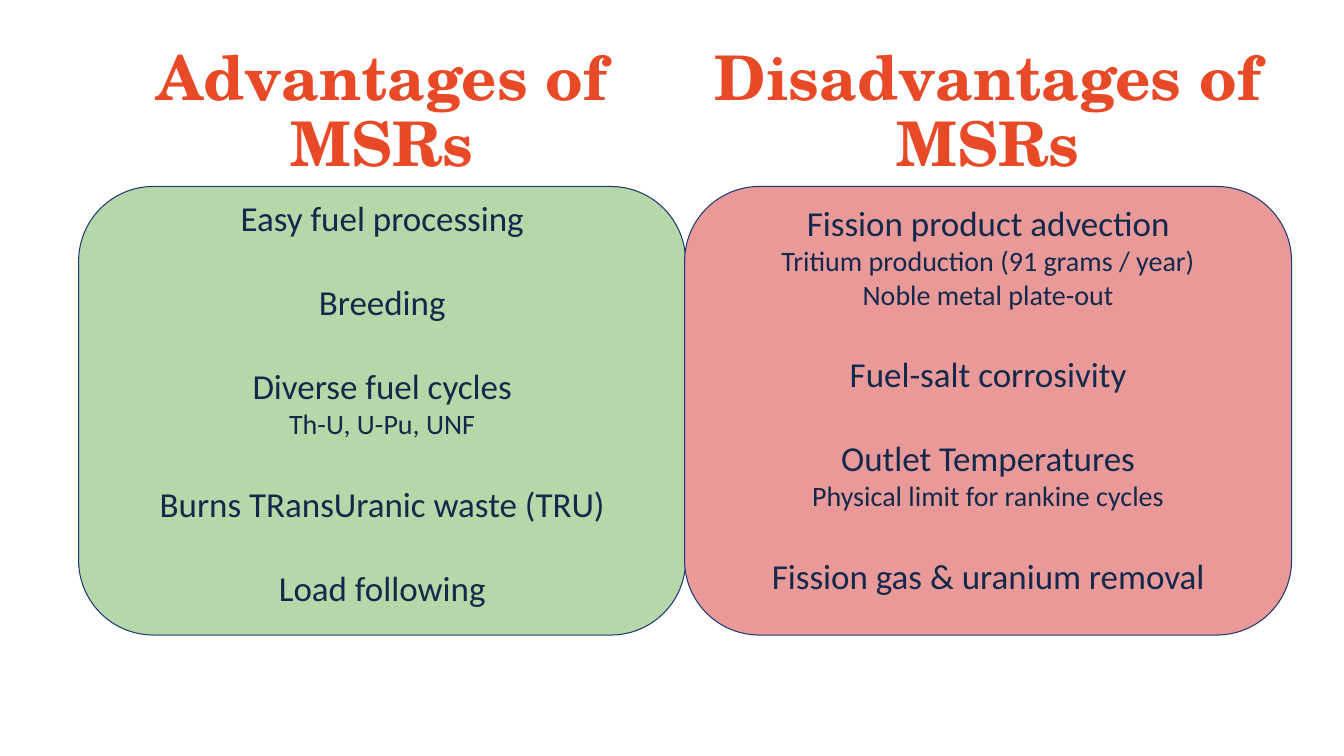
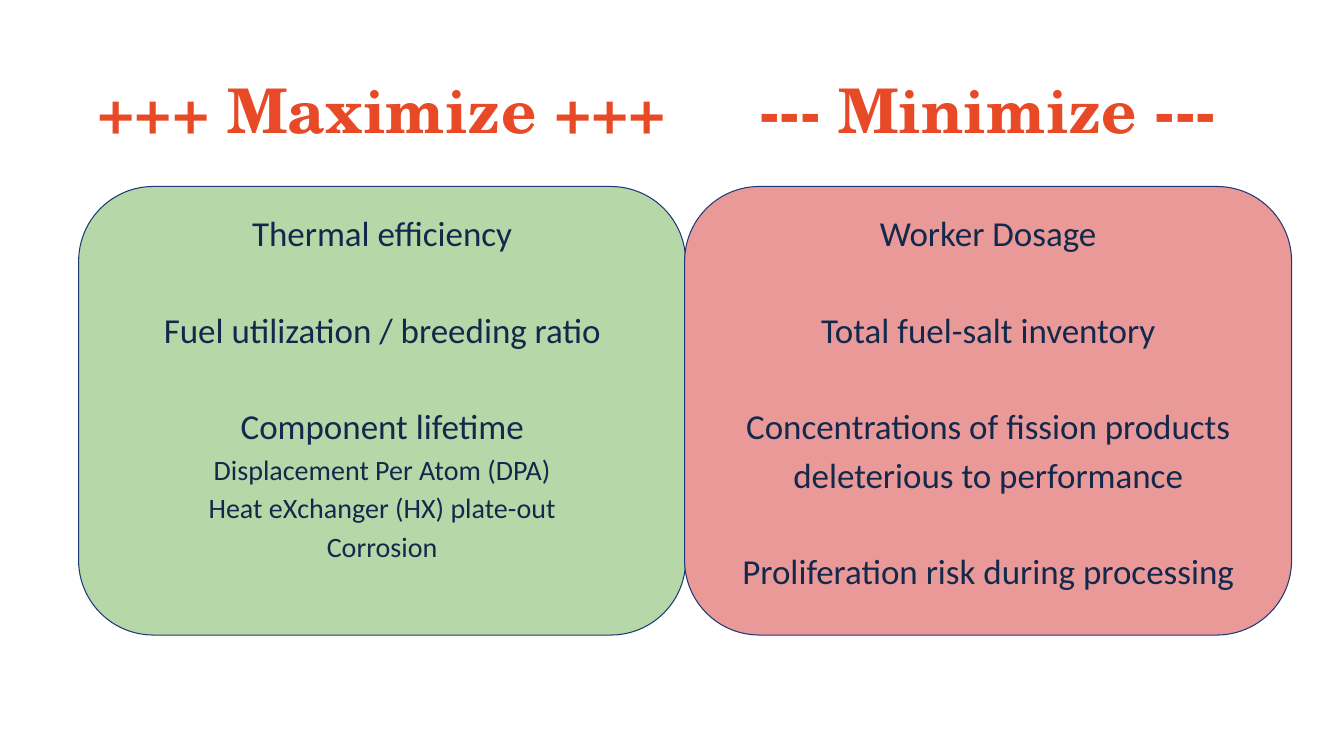
"""Build two comparison slides on molten salt reactors."""
from pptx import Presentation
from pptx.dml.color import RGBColor
from pptx.enum.shapes import MSO_SHAPE
from pptx.enum.text import MSO_ANCHOR, PP_ALIGN
from pptx.util import Inches, Pt

ROUNDED = MSO_SHAPE.ROUNDED_RECTANGLE
TOP, MIDDLE = MSO_ANCHOR.TOP, MSO_ANCHOR.MIDDLE
CENTER = PP_ALIGN.CENTER

ORANGE, NAVY, BORDER = "E84A27", "13294B", "1E3877"
PANEL_FILLS = ["B6D7A8", "EA9999"]
TITLE_FONT, BODY_FONT = "TeX Gyre Schola", "Calibri"
TITLE_SIZE, POINT_SIZE, DETAIL_SIZE = 44, 25, 20
POINT_GAP = 30

PANEL_LEFTS = [0.78, 6.79]
PANEL_TOP, PANEL_WIDTH, PANEL_HEIGHT = 1.85, 6.02, 4.45
TITLE_TOP, TITLE_HEIGHT = 0.4, 1.45
BODY_HEIGHT = 4.36

COMPARISONS = [
    {"body_width": 5.28, "line_spacing": 1.0, "columns": [
        {"title": "Advantages of MSRs", "title_width": 6.02, "body_top": 1.85, "points": [
            ("Easy fuel processing", []),
            ("Breeding", []),
            ("Diverse fuel cycles", ["Th-U, U-Pu, UNF"]),
            ("Burns TRansUranic waste (TRU)", []),
            ("Load following", []),
        ]},
        {"title": "Disadvantages of MSRs", "title_width": 6.02, "body_top": 1.9, "points": [
            ("Fission product advection",
             ["Tritium production (91 grams / year)", "Noble metal plate-out"]),
            ("Fuel-salt corrosivity", []),
            ("Outlet Temperatures", ["Physical limit for rankine cycles"]),
            ("Fission gas & uranium removal", []),
        ]},
    ]},
    {"body_width": 6.02, "line_spacing": 1.15, "columns": [
        {"title": "+++ Maximize +++", "title_width": 6.29, "body_top": 1.94, "points": [
            ("Thermal efficiency", []),
            ("Fuel utilization / breeding ratio", []),
            ("Component lifetime",
             ["Displacement Per Atom (DPA)", "Heat eXchanger (HX) plate-out", "Corrosion"]),
        ]},
        {"title": "--- Minimize ---", "title_width": 6.02, "body_top": 1.94, "points": [
            ("Worker Dosage", []),
            ("Total fuel-salt inventory", []),
            ("Concentrations of fission products deleterious to performance", []),
            ("Proliferation risk during processing", []),
        ]},
    ]},
]


def rgb(value):
    return RGBColor.from_string(value)


def add_panel(slide, left, fill):
    panel = slide.shapes.add_shape(ROUNDED, Inches(left), Inches(PANEL_TOP),
                                   Inches(PANEL_WIDTH), Inches(PANEL_HEIGHT))
    panel.shadow.inherit = False
    panel.fill.solid()
    panel.fill.fore_color.rgb = rgb(fill)
    panel.line.color.rgb = rgb(BORDER)
    panel.line.width = Pt(0.75)


def add_frame(slide, panel_left, top, width, height, anchor, inset):
    left = panel_left + (PANEL_WIDTH - width) / 2
    frame = slide.shapes.add_textbox(Inches(left), Inches(top),
                                     Inches(width), Inches(height)).text_frame
    frame.word_wrap = True
    frame.vertical_anchor = anchor
    frame.margin_top = frame.margin_bottom = Inches(inset)
    return frame


def style(paragraph, text, font, size, color, spacing, bold=False):
    paragraph.text = text
    paragraph.alignment = CENTER
    paragraph.line_spacing = spacing
    paragraph.font.name = font
    paragraph.font.size = Pt(size)
    paragraph.font.bold = bold
    paragraph.font.color.rgb = rgb(color)


def add_title(slide, left, column):
    frame = add_frame(slide, left, TITLE_TOP, column["title_width"], TITLE_HEIGHT, MIDDLE, 0.05)
    style(frame.paragraphs[0], column["title"], TITLE_FONT, TITLE_SIZE, ORANGE, 0.9, bold=True)


def add_points(slide, left, column, width, spacing):
    frame = add_frame(slide, left, column["body_top"], width, BODY_HEIGHT, TOP, 0.1)
    for index, (point, details) in enumerate(column["points"]):
        paragraph = frame.add_paragraph() if index else frame.paragraphs[0]
        style(paragraph, point, BODY_FONT, POINT_SIZE, NAVY, spacing)
        if index:
            paragraph.space_before = Pt(POINT_GAP * spacing)
        for detail in details:
            style(frame.add_paragraph(), detail, BODY_FONT, DETAIL_SIZE, NAVY, spacing)


def main():
    deck = Presentation()
    deck.slide_width, deck.slide_height = Inches(13.33), Inches(7.5)
    for comparison in COMPARISONS:
        slide = deck.slides.add_slide(deck.slide_layouts[6])
        for left, fill, column in zip(PANEL_LEFTS, PANEL_FILLS, comparison["columns"]):
            add_panel(slide, left, fill)
            add_title(slide, left, column)
            add_points(slide, left, column, comparison["body_width"], comparison["line_spacing"])
    deck.save("out.pptx")


if __name__ == "__main__":
    main()
